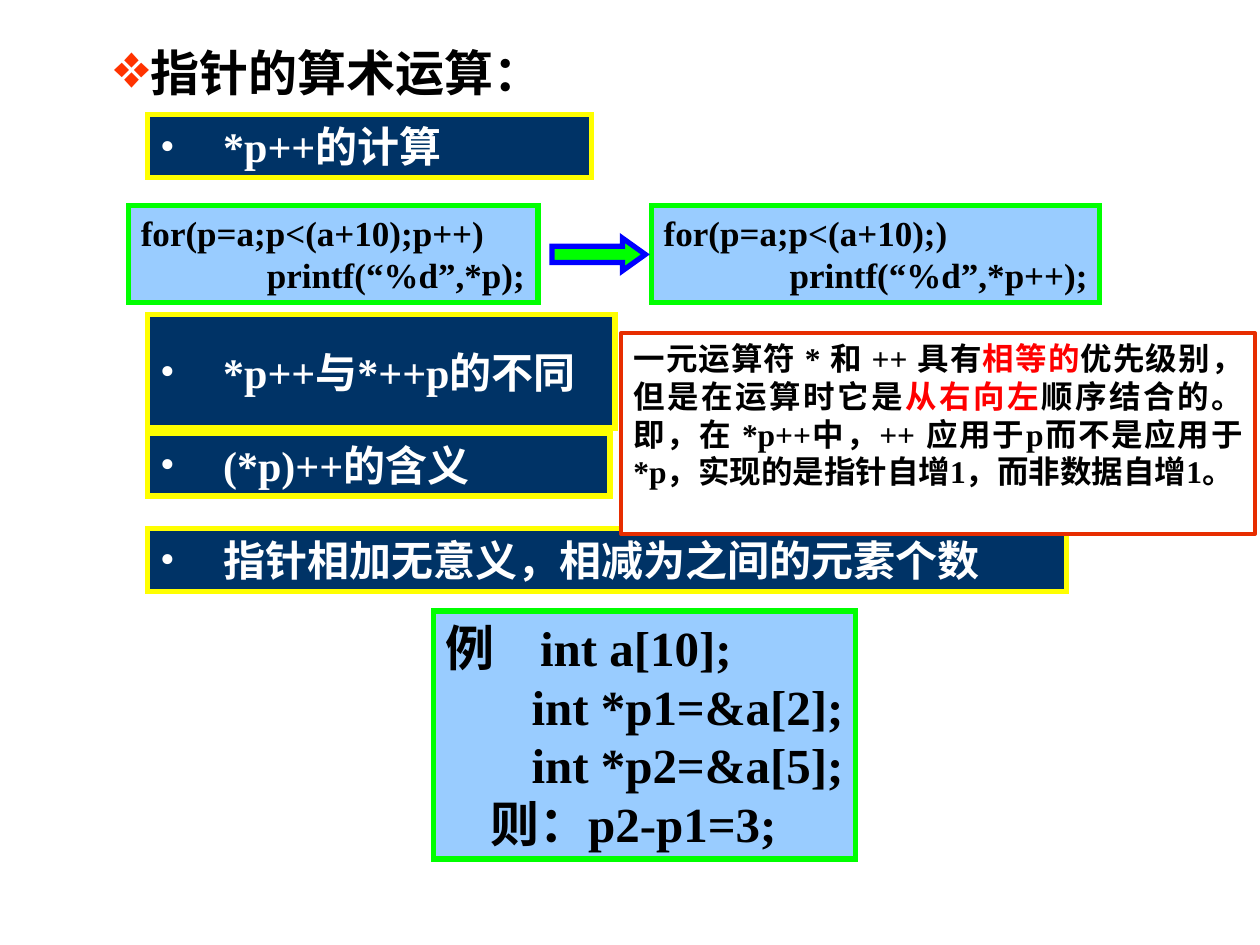
from collections import namedtuple
from dataclasses import dataclass

import pptx
import pptx.dml.color
import pptx.enum.lang
import pptx.enum.shapes
import pptx.enum.text
import pptx.oxml.ns
import pptx.util
from lxml import etree
from pptx.util import Cm

ALIGN = pptx.enum.text.PP_ALIGN
ANCHOR = pptx.enum.text.MSO_ANCHOR
AUTO_SIZE = pptx.enum.text.MSO_AUTO_SIZE
SHAPE = pptx.enum.shapes.MSO_SHAPE

Box = namedtuple("Box", "left top width height")  # centimetres


@dataclass(frozen=True)
class Theme:
    font: str = "Times New Roman"
    heading_size: int = 28
    point_size: int = 24
    code_size: int = 20
    note_size: int = 18
    thick: int = 3
    thin: int = 2
    black: str = "000000"
    white: str = "FFFFFF"
    navy: str = "003366"
    yellow: str = "FFFF00"
    sky: str = "99CCFF"
    green: str = "00FF00"
    blue: str = "0000FF"
    orange: str = "FF3300"
    note_border: str = "E72D00"
    red: str = "FF0000"


THEME = Theme()


def rgb(color):
    return pptx.dml.color.RGBColor.from_string(color)


def add_element(parent, tag, **attributes):
    return etree.SubElement(parent, pptx.oxml.ns.qn(tag), **attributes)


def add_bullet(paragraph, symbol, color, margin, indent):
    properties = paragraph._p.get_or_add_pPr()
    properties.set("marL", str(Cm(margin)))
    properties.set("indent", str(Cm(indent)))
    add_element(add_element(properties, "a:buClr"), "a:srgbClr", val=color)
    add_element(properties, "a:buFont", typeface=THEME.font)
    add_element(properties, "a:buChar", char=symbol)


def add_tab_stop(paragraph, position):
    tabs = add_element(paragraph._p.get_or_add_pPr(), "a:tabLst")
    add_element(tabs, "a:tab", pos=str(Cm(position)), algn="l")


def write_text(shape, lines, *, size, color=THEME.black, anchor=ANCHOR.TOP,
               align=ALIGN.LEFT, wrap=True, grow=True, bullet=None, tab=None):
    """Each line is a string or a list of (text, color) runs."""
    frame = shape.text_frame
    frame.word_wrap = wrap
    frame.auto_size = AUTO_SIZE.SHAPE_TO_FIT_TEXT if grow else AUTO_SIZE.NONE
    frame.vertical_anchor = anchor
    for index, line in enumerate(lines):
        paragraph = frame.add_paragraph() if index else frame.paragraphs[0]
        paragraph.alignment = align
        paragraph._p.get_or_add_pPr().set("hangingPunct", "0")
        if bullet:
            add_bullet(paragraph, **bullet)
        if tab:
            add_tab_stop(paragraph, tab)
        runs = [(line, color)] if isinstance(line, str) else line
        for text, run_color in runs:
            run = paragraph.add_run()
            run.text = text
            run.font.name = THEME.font
            run.font.size = pptx.util.Pt(size)
            run.font.bold = True
            run.font.language_id = pptx.enum.lang.MSO_LANGUAGE_ID.SIMPLIFIED_CHINESE
            run.font.color.rgb = rgb(run_color)


def add_panel(shapes, box, fill, border, border_width=THEME.thick,
              kind=SHAPE.RECTANGLE, mitered=True):
    shape = shapes.add_shape(kind, *map(Cm, box))
    shape.shadow.inherit = False
    shape.fill.solid()
    shape.fill.fore_color.rgb = rgb(fill)
    shape.line.color.rgb = rgb(border)
    shape.line.width = pptx.util.Pt(border_width)
    if mitered:
        add_element(shape.line._get_or_add_ln(), "a:miter", lim="800000")
    return shape


def add_heading(slide, box, text):
    title = slide.shapes.title
    title.left, title.top, title.width, title.height = map(Cm, box)
    write_text(title, [text], size=THEME.heading_size, grow=False,
               bullet=dict(symbol="❖", color=THEME.orange, margin=1.02, indent=0.05))


def add_point(shapes, box, text):
    panel = add_panel(shapes, box, THEME.navy, THEME.yellow)
    write_text(panel, [text], size=THEME.point_size, color=THEME.white,
               anchor=ANCHOR.MIDDLE,
               bullet=dict(symbol="•", color=THEME.white, margin=1.27, indent=-1.27))


def add_code(shapes, box, lines, size=THEME.code_size, tab=2.54):
    panel = add_panel(shapes, box, THEME.sky, THEME.green)
    panel.text_frame.margin_right = 0
    write_text(panel, lines, size=size, grow=False, tab=tab)


def add_rewrite(shapes, box):
    """Loop on the left, with an arrow to its shorter form on the right."""
    left, top, width, height = box
    before_width, after_width = 8.26, 9.04
    add_code(shapes, Box(left, top, before_width, height),
             ["for(p=a;p<(a+10);p++)", "\tprintf(“%d”,*p);"])
    group = shapes.add_group_shape()
    after_left = left + width - after_width
    add_code(group.shapes, Box(after_left, top, after_width, height),
             ["for(p=a;p<(a+10);)", "\tprintf(“%d”,*p++);"])
    arrow_box = Box(left + before_width + 0.28, top + 0.66, 1.88, 0.66)
    arrow = add_panel(group.shapes, arrow_box, THEME.green, THEME.blue,
                      kind=SHAPE.RIGHT_ARROW)
    arrow.adjustments[0], arrow.adjustments[1] = 0.5, 0.7


def add_note(shapes, box):
    panel = add_panel(shapes, box, THEME.white, THEME.note_border, THEME.thin,
                      mitered=False)
    runs = [
        ("一元运算符 * 和 ++ 具有", THEME.black),
        ("相等的", THEME.red),
        ("优先级别，但是在运算时它是", THEME.black),
        ("从右向左", THEME.red),
        ("顺序结合的。即，在 *p++中，++ 应用于p而不是应用于*p，"
         "实现的是指针自增1，而非数据自增1。", THEME.black),
    ]
    write_text(panel, [runs], size=THEME.note_size, align=ALIGN.JUSTIFY)


def main():
    presentation = pptx.Presentation()
    presentation.slide_width, presentation.slide_height = Cm(25.4), Cm(19.05)
    slide = presentation.slides.add_slide(presentation.slide_layouts[5])
    shapes = slide.shapes

    add_heading(slide, Box(0.94, 0.72, 13.94, 1.8), "指针的算术运算：")
    add_code(shapes, Box(8.74, 12.32, 8.51, 5),
             ["例\tint a[10];", "       int *p1=&a[2];",
              "       int *p2=&a[5];", "    则：p2-p1=3;"],
             size=THEME.heading_size, tab=1.9)
    add_rewrite(shapes, Box(2.59, 4.14, 19.58, 1.96))
    points = [
        ("*p++的计算", 2.31, 8.94, 1.27),
        ("*p++与*++p的不同", 6.34, 9.42, 2.29),
        ("(*p)++的含义", 8.73, 9.32, 1.27),
        ("指针相加无意义，相减为之间的元素个数", 10.65, 18.52, 1.27),
    ]
    for text, top, width, height in points:
        add_point(shapes, Box(2.98, top, width, height), text)
    add_note(shapes, Box(12.52, 6.71, 12.78, 4.06))

    presentation.save("out.pptx")


if __name__ == "__main__":
    main()
